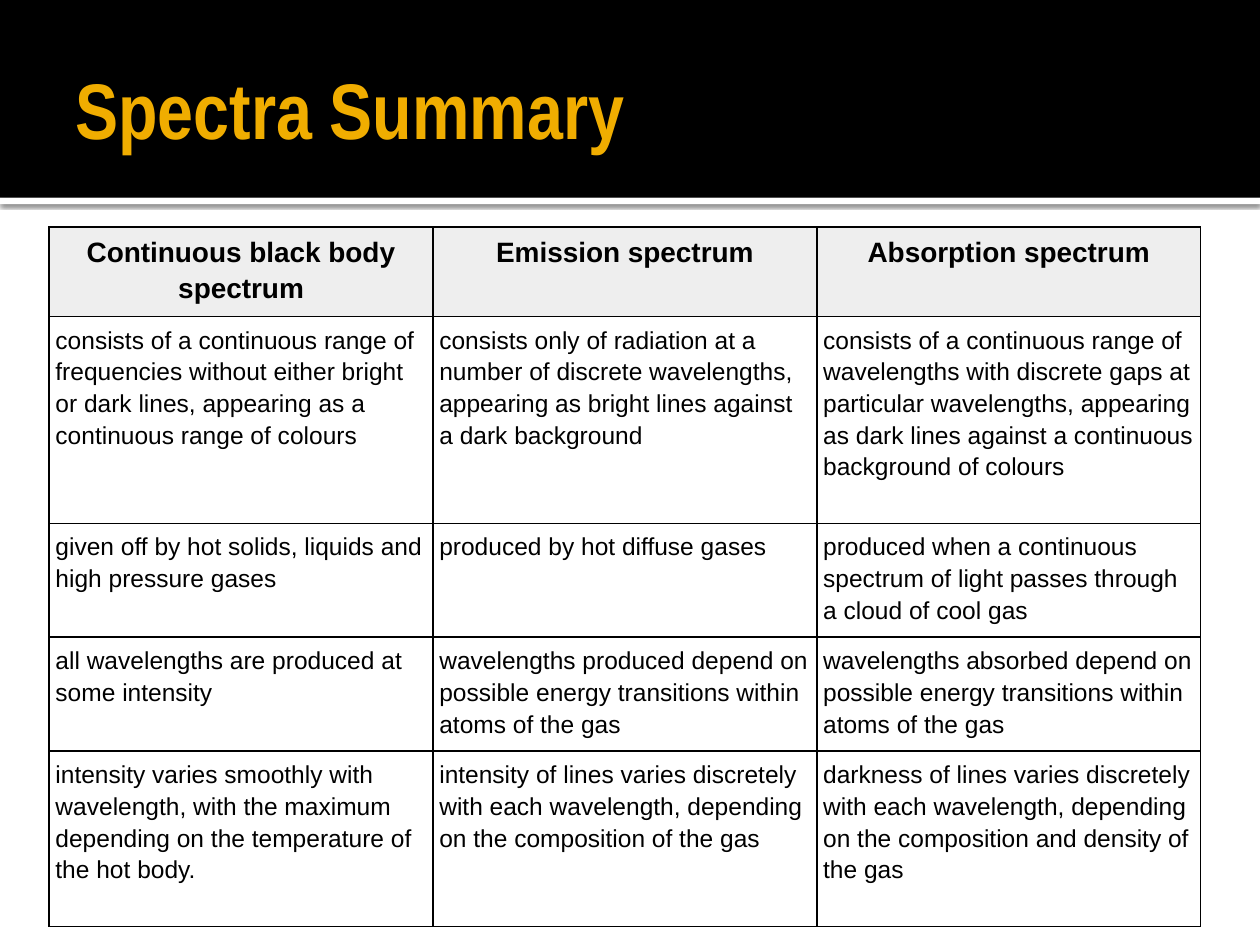
from lxml import etree
from pptx import Presentation
from pptx.dml.color import RGBColor
from pptx.enum import shapes, text
from pptx.oxml.ns import qn
from pptx.util import Inches, Pt

TITLE = "Spectra Summary"
HEADERS = ["Continuous black body spectrum", "Emission spectrum", "Absorption spectrum"]
ROWS = [
    ["consists of a continuous range of frequencies without either bright or dark lines, "
     "appearing as a continuous range of colours",
     "consists only of radiation at a number of discrete wavelengths, appearing as bright "
     "lines against a dark background",
     "consists of a continuous range of wavelengths with discrete gaps at particular "
     "wavelengths, appearing as dark lines against a continuous background of colours"],
    ["given off by hot solids, liquids and high pressure gases",
     "produced by hot diffuse gases",
     "produced when a continuous spectrum of light passes through a cloud of cool gas"],
    ["all wavelengths are produced at some intensity",
     "wavelengths produced depend on possible energy transitions within atoms of the gas",
     "wavelengths absorbed depend on possible energy transitions within atoms of the gas"],
    ["intensity varies smoothly with wavelength, with the maximum depending on the "
     "temperature of the hot body.",
     "intensity of lines varies discretely with each wavelength, depending on the "
     "composition of the gas",
     "darkness of lines varies discretely with each wavelength, depending on the "
     "composition and density of the gas"],
]
ROW_HEIGHTS = [0.64, 1.64, 0.89, 0.89, 1.39]
TABLE_LEFT, TABLE_TOP, TABLE_WIDTH = 0.39, 1.8, 9.14
BANNER_HEIGHT, STRIP_HEIGHT = 1.57, 0.05
BLACK, WHITE, GOLD, GREY = "000000", "FFFFFF", "F0AD00", "EEEEEE"


def rgb(value):
    return RGBColor.from_string(value)


def add_color(parent, value):
    fill = etree.SubElement(parent, qn("a:srgbClr"))
    fill.set("val", value)
    return fill


def add_band(slide, top, height, color):
    sp = slide.shapes.add_shape(shapes.MSO_SHAPE.RECTANGLE, 0, Inches(top),
                                Inches(10), Inches(height))
    sp.shadow.inherit = False
    sp.fill.solid()
    sp.fill.fore_color.rgb = rgb(color)
    sp.line.fill.background()
    return sp


def add_shadow(sp, color, alpha, blur, distance):
    """Give the shape a shadow that falls straight down."""
    effects = sp._element.spPr.find(qn("a:effectLst"))
    shadow = etree.SubElement(effects, qn("a:outerShdw"), blurRad=str(Pt(blur)),
                              dist=str(Pt(distance)), dir="5400000",
                              algn="t", rotWithShape="0")
    etree.SubElement(add_color(shadow, color), qn("a:alpha"), val=str(alpha * 1000))


def add_run(p, content, font, size, color, bold):
    r = p.add_run()
    r.text = content
    r.font.name, r.font.size, r.font.bold = font, Pt(size), bold
    r.font.color.rgb = rgb(color)


def set_borders(cell, color, width):
    props = cell._tc.get_or_add_tcPr()
    for i, side in enumerate(("lnL", "lnR", "lnT", "lnB")):
        line = etree.Element(qn(f"a:{side}"), w=str(Pt(width)))
        add_color(etree.SubElement(line, qn("a:solidFill")), color)
        props.insert(i, line)


def fill_cell(cell, content, header):
    cell.margin_left = cell.margin_right = Inches(0.05)
    cell.margin_top = cell.margin_bottom = Inches(0.05)
    p = cell.text_frame.paragraphs[0]
    p.line_spacing = 1.15
    if header:
        p.alignment = text.PP_ALIGN.CENTER
        cell.fill.solid()
        cell.fill.fore_color.rgb = rgb(GREY)
    else:
        p.space_after = Pt(10)
        cell.fill.background()
    add_run(p, content, "Arial", 16 if header else 14, BLACK, header)
    set_borders(cell, BLACK, 1)


def add_title(slide):
    box = slide.shapes.add_textbox(Inches(0.5), Inches(0.17), Inches(9), Inches(1.37))
    tf = box.text_frame
    tf.word_wrap = True
    tf.vertical_anchor = text.MSO_ANCHOR.MIDDLE
    tf.margin_left = Inches(0.1)
    tf.margin_right = tf.margin_top = tf.margin_bottom = Inches(0.05)
    add_run(tf.paragraphs[0], TITLE, "Arial Narrow", 45, GOLD, True)


def add_summary_table(slide):
    table = slide.shapes.add_table(
        len(ROW_HEIGHTS), len(HEADERS), Inches(TABLE_LEFT), Inches(TABLE_TOP),
        Inches(TABLE_WIDTH), Inches(sum(ROW_HEIGHTS))).table
    table.first_row = table.horz_banding = False
    for row, height in zip(table.rows, ROW_HEIGHTS):
        row.height = Inches(height)
    for i, contents in enumerate([HEADERS] + ROWS):
        for j, content in enumerate(contents):
            fill_cell(table.cell(i, j), content, header=i == 0)


def main():
    prs = Presentation()
    prs.slide_width, prs.slide_height = Inches(10), Inches(7.5)
    slide = prs.slides.add_slide(prs.slide_layouts[6])
    strip = add_band(slide, BANNER_HEIGHT, STRIP_HEIGHT, WHITE)
    add_shadow(strip, BLACK, alpha=60, blur=2.5, distance=0.8)
    add_band(slide, 0, BANNER_HEIGHT, BLACK)
    add_title(slide)
    add_summary_table(slide)
    prs.save("out.pptx")


if __name__ == "__main__":
    main()
